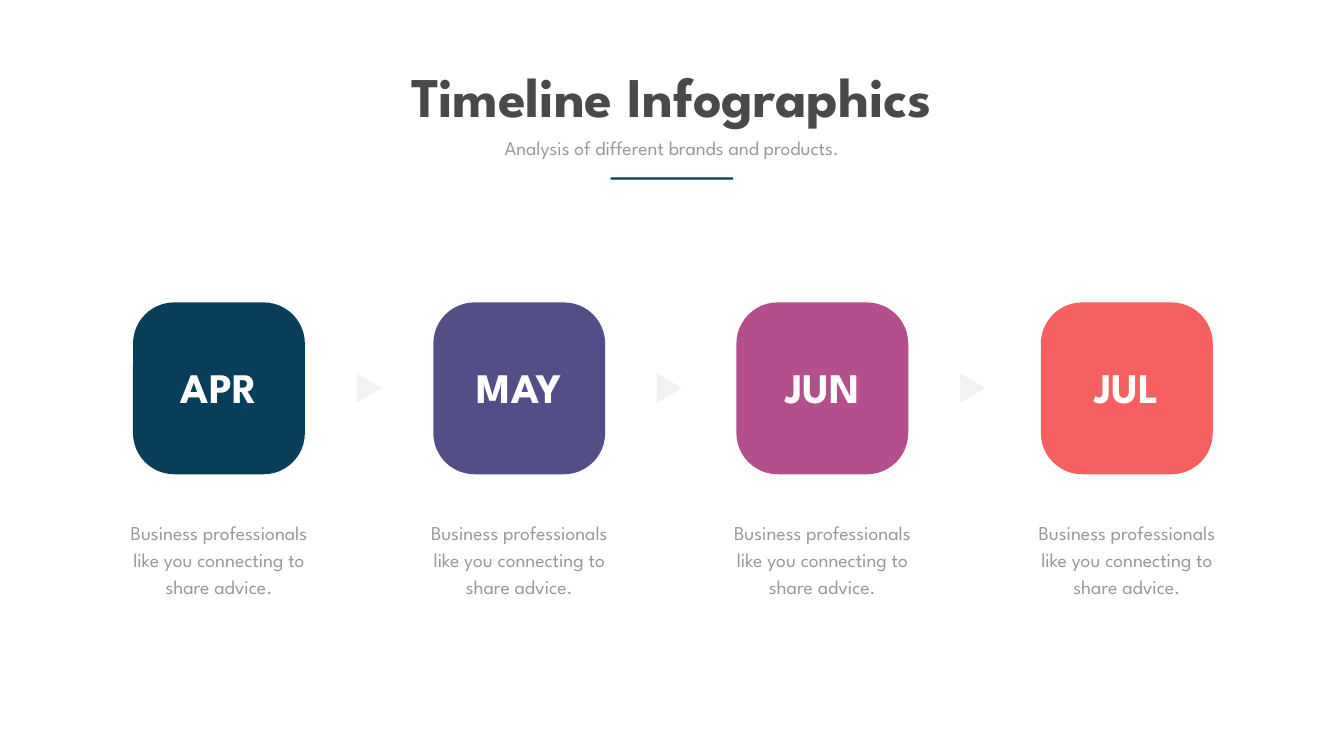
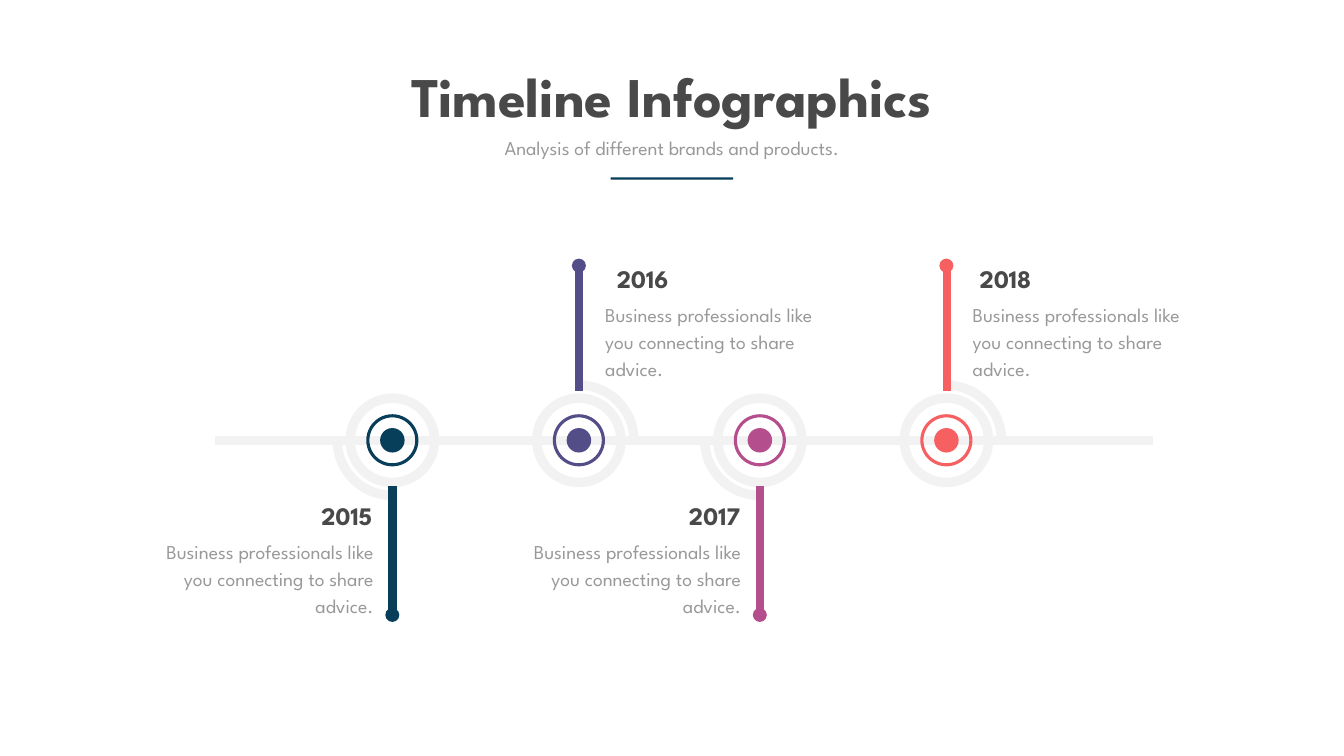
from lxml.etree import SubElement
from pptx import Presentation
from pptx.dml.color import RGBColor
from pptx.enum.shapes import MSO_CONNECTOR, MSO_SHAPE
from pptx.enum.text import MSO_AUTO_SIZE, PP_ALIGN
from pptx.oxml.ns import qn
from pptx.util import Pt

TITLE = "Timeline Infographics"
SUBTITLE = "Analysis of different brands and products."
ADVICE = "Business professionals like you connecting to share advice."
FONT = "League Spartan"
NAVY, PURPLE, PINK, CORAL = "073E59", "534D88", "B54E8D", "F76061"
DARK, GREY, PALE, WHITE = "494949", "999999", "F2F2F2", "FFFFFF"
LEFT, CENTER, RIGHT = PP_ALIGN.LEFT, PP_ALIGN.CENTER, PP_ALIGN.RIGHT

MONTHS = [
    ("APR", 190, NAVY),
    ("MAY", 619, PURPLE),
    ("JUN", 1052, PINK),
    ("JUL", 1487, CORAL),
]
YEARS = [
    ("2015", 560.5, NAVY, "below", -125.5, RIGHT),
    ("2016", 827, PURPLE, "above", 31, RIGHT),
    ("2017", 1085.5, PINK, "below", -125, RIGHT),
    ("2018", 1352, CORAL, "above", 40.5, LEFT),
]
SIDES = {
    "below": dict(stem=(695, 873.5), dot=878.5, year=711.5, advice=763,
                  offset=-340.5, align=RIGHT, arc=(90, 180)),
    "above": dict(stem=(558.5, 380), dot=379.5, year=372, advice=424,
                  offset=30.5, align=LEFT, arc=(270, 0)),
}
SQUARE, SQUARE_TOP = 245.5, 432
AXIS, BAND = 629, 13.5


def color(value):
    return RGBColor.from_string(value)


def add_text(page, text, left, top, width, height, size, ink,
             align=CENTER, bold=False, spacing=None):
    box = page.shapes.add_textbox(Pt(left), Pt(top), Pt(width), Pt(height))
    box.text_frame.word_wrap = True
    box.text_frame.auto_size = MSO_AUTO_SIZE.SHAPE_TO_FIT_TEXT
    para = box.text_frame.paragraphs[0]
    para.text = text
    para.alignment = align
    if spacing:
        para.line_spacing = Pt(spacing)
    para.font.name = FONT
    para.font.size = Pt(size)
    para.font.bold = bold
    para.font.color.rgb = color(ink)


def add_advice(page, left, top, width, align):
    add_text(page, ADVICE, left, top, width, 120, 28, GREY, align, spacing=38.6)


def add_shape(page, kind, left, top, width, height, fill=None, outline=None):
    shape = page.shapes.add_shape(kind, Pt(left), Pt(top), Pt(width), Pt(height))
    shape.shadow.inherit = False
    if fill:
        shape.fill.solid()
        shape.fill.fore_color.rgb = color(fill)
    else:
        shape.fill.background()
    if outline:
        shape.line.color.rgb = color(outline)
        shape.line.width = Pt(BAND)
    else:
        shape.line.fill.background()
    return shape


def add_round(page, kind, x, y, size, fill=None, outline=None):
    return add_shape(page, kind, x - size / 2, y - size / 2, size, size, fill, outline)


def add_line(page, start, end, ink, width):
    line = page.shapes.add_connector(
        MSO_CONNECTOR.STRAIGHT, *(Pt(value) for value in start + end))
    line.line.color.rgb = color(ink)
    line.line.width = Pt(width)
    SubElement(line._element.spPr, qn("a:effectLst"))


def add_page(deck):
    page = deck.slides.add_slide(deck.slide_layouts[6])
    add_text(page, TITLE, 538, 84, 844, 104.5, 80, DARK, bold=True)
    add_text(page, SUBTITLE, 615.5, 191, 688.5, 41, 28, GREY)
    add_shape(page, MSO_SHAPE.RECTANGLE, 872.5, 253.5, 175, 3, NAVY)
    return page


def build_months(deck):
    page = add_page(deck)
    for index, (month, left, tint) in enumerate(MONTHS):
        square = add_shape(page, MSO_SHAPE.ROUNDED_RECTANGLE,
                           left, SQUARE_TOP, SQUARE, SQUARE, tint)
        square.adjustments[0] = 0.24
        middle = left + SQUARE / 2
        add_text(page, month, middle - 87.5, 512.5, 175, 80, 60, WHITE, bold=True)
        add_advice(page, middle - 154.5, 736, 309, CENTER)
        if index < len(MONTHS) - 1:
            arrow = add_shape(page, MSO_SHAPE.ISOSCELES_TRIANGLE,
                              left + 316.5, 536.5, 42, 36, PALE)
            arrow.rotation = 90


def build_years(deck):
    page = add_page(deck)
    add_line(page, (307, AXIS), (1647, AXIS), PALE, BAND)
    for year, x, tint, side, year_offset, year_align in YEARS:
        place = SIDES[side]
        arc = add_round(page, MSO_SHAPE.ARC, x, AXIS, 157.5, outline=PALE)
        for index, degrees in enumerate(place["arc"]):
            arc.adjustments[index] = degrees * 0.6
        add_round(page, MSO_SHAPE.OVAL, x, AXIS, 120.5, outline=PALE)
        ring = add_round(page, MSO_SHAPE.DONUT, x, AXIS, 74.5, tint)
        ring.adjustments[0] = 0.06
        add_round(page, MSO_SHAPE.OVAL, x, AXIS, 35, tint)
        add_round(page, MSO_SHAPE.OVAL, x, place["dot"], 20, tint)
        near, far = place["stem"]
        add_line(page, (x + 0.5, near), (x + 0.5, far), tint, 12)
        add_advice(page, x + place["offset"], place["advice"], 320.5, place["align"])
        add_text(page, year, x + year_offset, place["year"], 104, 51, 36, DARK,
                 year_align, bold=True)


def main():
    deck = Presentation()
    deck.slide_width, deck.slide_height = Pt(1920), Pt(1080)
    build_months(deck)
    build_years(deck)
    deck.save("out.pptx")


if __name__ == "__main__":
    main()
